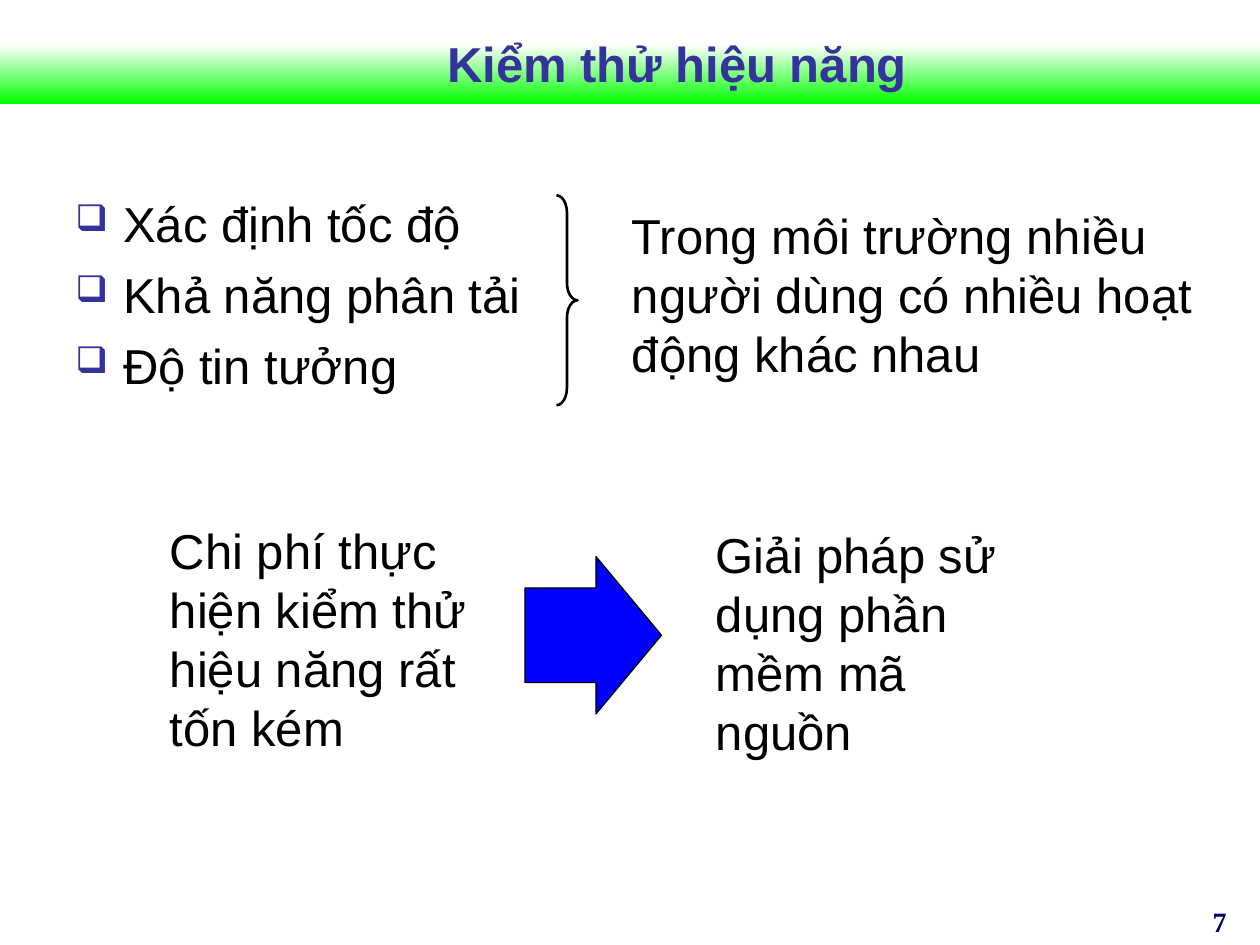
from pptx import Presentation
from pptx.util import Inches, Pt
from pptx.dml.color import RGBColor
from pptx.enum.shapes import MSO_SHAPE
from pptx.enum.text import MSO_ANCHOR, PP_ALIGN
from lxml.etree import SubElement
from pptx.oxml.ns import qn

COLORS = {"white": "FFFFFF", "green": "01FF01", "title": "333399",
          "black": "000000", "blue": "0000FF", "page": "000066"}
CELL = 1 / 12  # inches: a grid of 120 columns by 90 rows


def color(name):
    return RGBColor.from_string(COLORS[name])


def grid(*cells):
    return [Inches(n * CELL) for n in cells]


def add_text(slide, box, lines, tone="black", size=28, font="Arial",
             bold=False, align=PP_ALIGN.LEFT, anchor=MSO_ANCHOR.TOP):
    frame = slide.shapes.add_textbox(*grid(*box)).text_frame
    frame.word_wrap = True
    frame.vertical_anchor = anchor
    frame.text = "\n".join(lines)
    for para in frame.paragraphs:
        para.alignment = align
        style = para.runs[0].font
        style.name, style.size, style.bold = font, Pt(size), bold
        style.color.rgb = color(tone)
    return frame


def add_bullets(slide, box, lines):
    frame = add_text(slide, box, lines, align=PP_ALIGN.JUSTIFY)
    for para in frame.paragraphs:
        para.space_after = Pt(7)
        props = para._p.get_or_add_pPr()
        props.set("marL", str(Inches(0.38)))
        props.set("indent", str(-Inches(0.38)))
        tint = SubElement(props, qn("a:buClr"))
        SubElement(tint, qn("a:srgbClr"), val=COLORS["title"])
        SubElement(props, qn("a:buSzPct"), val="75000")
        SubElement(props, qn("a:buChar"), char="❑")


def add_shape(slide, kind, box, fill=None, line=None, adjust=()):
    """Draw a preset shape; line is the outline's width in points."""
    shape = slide.shapes.add_shape(kind, *grid(*box))
    shape.shadow.inherit = False
    for i, share in enumerate(adjust):
        shape.adjustments[i] = share
    if fill:
        shape.fill.solid()
        shape.fill.fore_color.rgb = color(fill)
    else:
        shape.fill.background()
    if line:
        shape.line.width = Pt(line)
        shape.line.color.rgb = color("black")
    else:
        shape.line.fill.background()
    return shape


def add_band(slide, box):
    fill = add_shape(slide, MSO_SHAPE.RECTANGLE, box).fill
    fill.gradient()
    fill.gradient_angle = 270
    for stop, tone in zip(fill.gradient_stops, ("white", "green")):
        stop.color.rgb = color(tone)


def main():
    deck = Presentation()
    deck.slide_width, deck.slide_height = grid(120, 90)
    slide = deck.slides.add_slide(deck.slide_layouts[6])

    add_band(slide, (0, 4.2, 120, 5.7))
    add_text(slide, (11, 2, 107, 8), ["Kiểm thử hiệu năng"], "title", bold=True,
             align=PP_ALIGN.CENTER, anchor=MSO_ANCHOR.MIDDLE)

    add_bullets(slide, (6, 17.8, 47, 25.2),
                ["Xác định tốc độ", "Khả năng phân tải", "Độ tin tưởng"])
    add_shape(slide, MSO_SHAPE.RIGHT_BRACE, (53, 18.6, 2, 20), line=1.5,
              adjust=(0.83, 0.5))
    add_text(slide, (59, 19, 57, 18),
             ["Trong môi trường nhiều người dùng có nhiều hoạt động khác nhau"])

    add_text(slide, (15, 49, 31, 23.6),
             ["Chi phí thực hiện kiểm thử hiệu năng rất tốn kém"])
    add_text(slide, (67, 49.4, 34, 23.6),
             ["Giải pháp sử dụng phần mềm mã nguồn"])
    add_shape(slide, MSO_SHAPE.RIGHT_ARROW, (50, 53, 13, 15), "blue", 0.75,
              adjust=(0.6, 0.48))

    add_text(slide, (107, 85.6, 11, 4), ["7"], "page", 16, "Times New Roman",
             bold=True, align=PP_ALIGN.RIGHT)
    deck.save("out.pptx")


if __name__ == "__main__":
    main()
